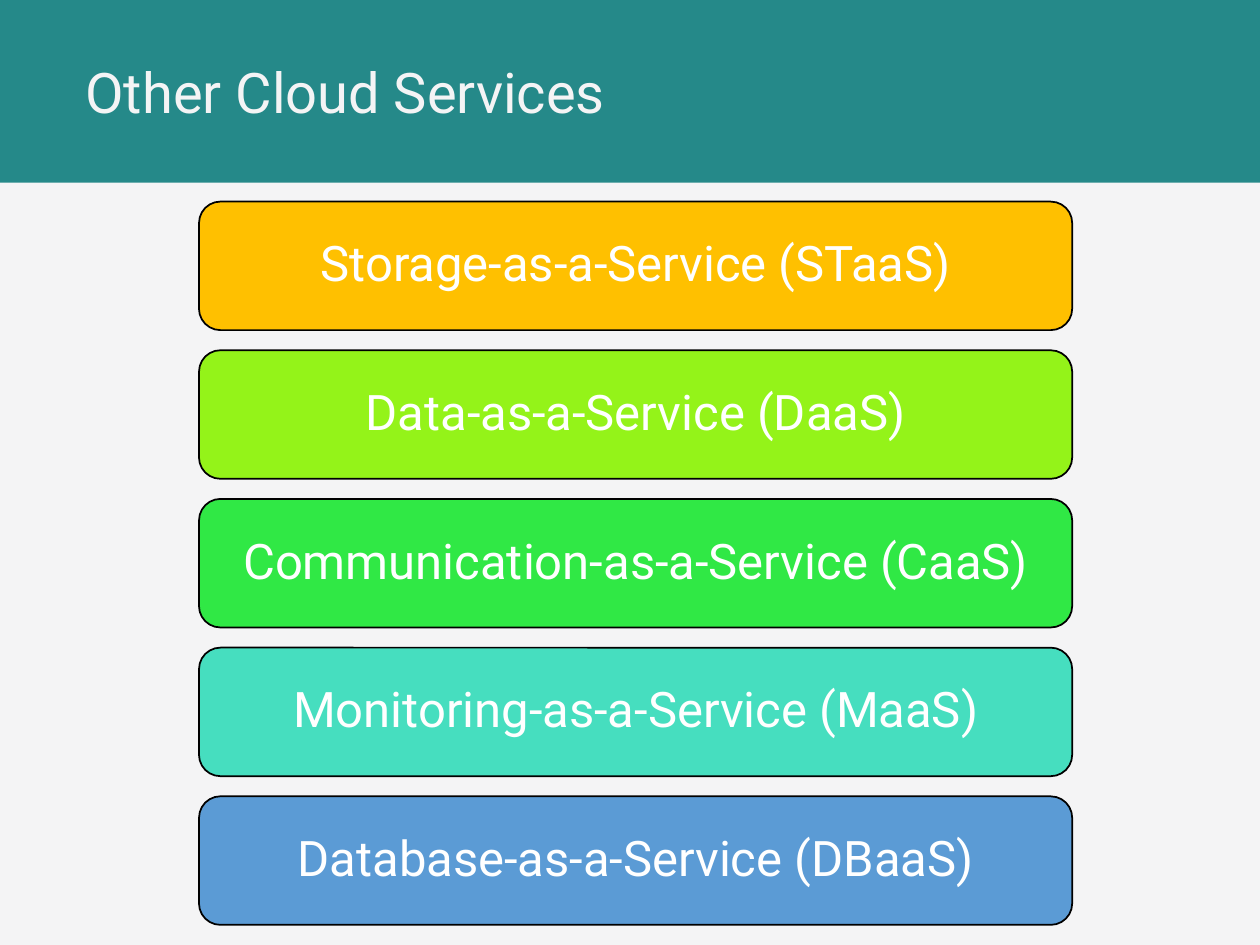
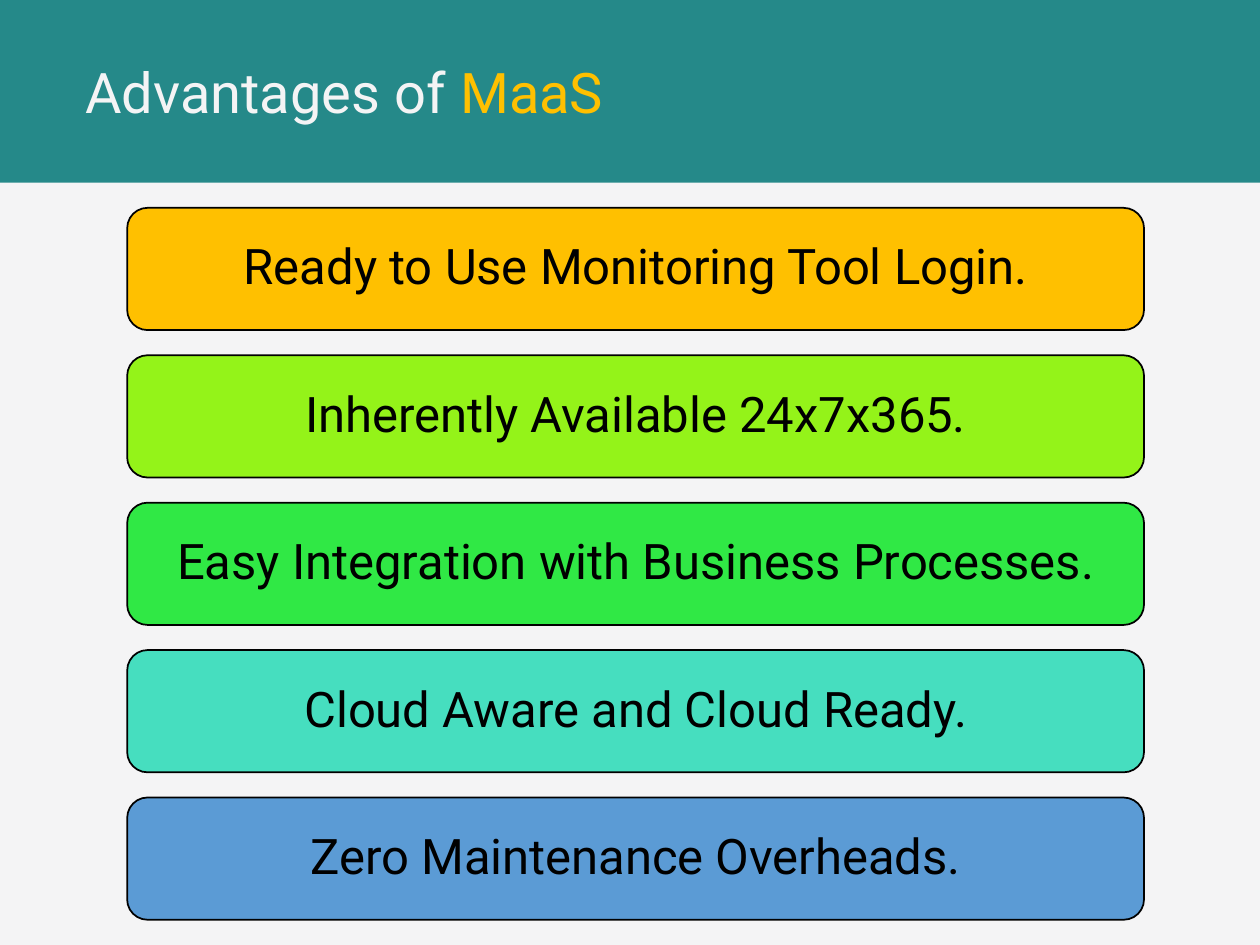
from pptx import Presentation
from pptx.dml.color import RGBColor
from pptx.enum.shapes import MSO_SHAPE
from pptx.enum.text import MSO_ANCHOR, PP_ALIGN
from pptx.util import Inches, Pt

# Grid: 100 columns by 75 rows, square cells
COLUMNS, ROWS = 100, 75
WIDTH, HEIGHT = Inches(10), Inches(7.5)

# Shared style
FONT = "Roboto"
TEAL, PAPER, AMBER = "258989", "F4F4F5", "FFC000"
BLACK, WHITE = "000000", "FFFFFF"
CARD_FILLS = [AMBER, "94F319", "30E845", "46DEBF", "5B9BD5"]
BAND_ROWS = 14.5


def color(hex_string):
    return RGBColor.from_string(hex_string)


def write(frame, runs, size, align=PP_ALIGN.LEFT, spacing=1.0, inset=(0.1, 0.05)):
    """Fill a frame with one middle-anchored paragraph of (text, colour) runs."""
    frame.word_wrap = True
    frame.vertical_anchor = MSO_ANCHOR.MIDDLE
    frame.margin_left = frame.margin_right = Inches(inset[0])
    frame.margin_top = frame.margin_bottom = Inches(inset[1])
    paragraph = frame.paragraphs[0]
    paragraph.alignment = align
    paragraph.line_spacing = spacing
    for text, text_color in runs:
        run = paragraph.add_run()
        run.text = text
        run.font.name = FONT
        run.font.size = Pt(size)
        run.font.color.rgb = color(text_color)


class Deck:
    def __init__(self):
        self.presentation = Presentation()
        self.presentation.slide_width = WIDTH
        self.presentation.slide_height = HEIGHT
        self.slide = None

    def place(self, left, top, width, height):
        """Turn columns and rows into slide lengths."""
        column, row = WIDTH / COLUMNS, HEIGHT / ROWS
        return (round(left * column), round(top * row),
                round(width * column), round(height * row))

    def new_slide(self, *title_runs):
        blank = self.presentation.slide_layouts[6]
        self.slide = self.presentation.slides.add_slide(blank)
        background = self.slide.background.fill
        background.solid()
        background.fore_color.rgb = color(PAPER)
        self.box(MSO_SHAPE.RECTANGLE, 0, 0, COLUMNS, BAND_ROWS, TEAL)
        self.title(title_runs)

    def title(self, runs):
        left = 5.8
        title = self.slide.shapes.add_textbox(
            *self.place(left, 0, COLUMNS - left, BAND_ROWS))
        write(title.text_frame, runs, size=32)

    def box(self, preset, left, top, width, height, fill, outline=None):
        box = self.slide.shapes.add_shape(
            preset, *self.place(left, top, width, height))
        box.shadow.inherit = False
        box.fill.solid()
        box.fill.fore_color.rgb = color(fill)
        if outline:
            box.line.color.rgb = color(outline)
            box.line.width = Pt(1)
        else:
            box.line.fill.background()
        return box

    def card_stack(self, labels, left, top, width, height, pitch, text_color):
        """Stack one coloured card per label, a fixed pitch apart."""
        for index, (label, fill) in enumerate(zip(labels, CARD_FILLS)):
            card = self.box(MSO_SHAPE.ROUNDED_RECTANGLE, left,
                            top + index * pitch, width, height, fill, BLACK)
            write(card.text_frame, [(label, text_color)], size=28,
                  align=PP_ALIGN.CENTER, spacing=0.9, inset=(0.12, 0.12))


def main():
    deck = Deck()

    # Other cloud services
    deck.new_slide(("Other Cloud Services", PAPER))
    services = [
        "Storage-as-a-Service (STaaS)",
        "Data-as-a-Service (DaaS)",
        "Communication-as-a-Service (CaaS)",
        "Monitoring-as-a-Service (MaaS)",
        "Database-as-a-Service (DBaaS)",
    ]
    deck.card_stack(services, left=15.8, top=16, width=69.3, height=10.2,
                    pitch=11.8, text_color=WHITE)

    # Advantages of MaaS
    deck.new_slide(("Advantages of ", PAPER), ("MaaS", AMBER))
    advantages = [
        "Ready to Use Monitoring Tool Login.",
        "Inherently Available 24x7x365.",
        "Easy Integration with Business Processes.",
        "Cloud Aware and Cloud Ready.",
        "Zero Maintenance Overheads.",
    ]
    deck.card_stack(advantages, left=10.1, top=16.5, width=80.7, height=9.7,
                    pitch=11.7, text_color=BLACK)

    deck.presentation.save("out.pptx")


if __name__ == "__main__":
    main()
